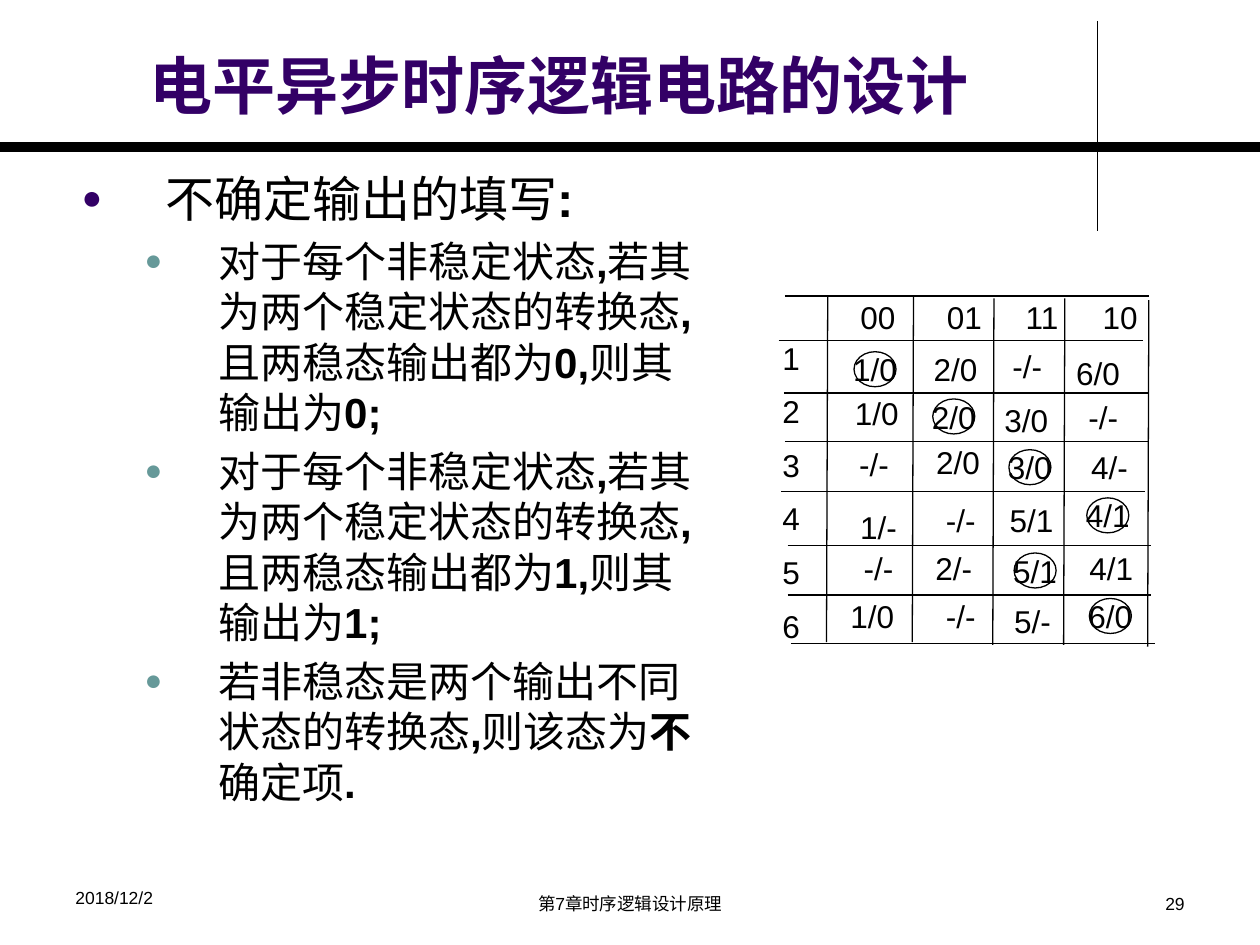
from lxml import etree
from pptx import Presentation
from pptx.dml.color import RGBColor
from pptx.enum.shapes import MSO_CONNECTOR, MSO_SHAPE
from pptx.enum.text import MSO_ANCHOR, MSO_AUTO_SIZE, PP_ALIGN
from pptx.oxml.ns import qn
from pptx.util import Pt

STRAIGHT = MSO_CONNECTOR.STRAIGHT
OVAL = MSO_SHAPE.OVAL
TOP, MIDDLE, BOTTOM = MSO_ANCHOR.TOP, MSO_ANCHOR.MIDDLE, MSO_ANCHOR.BOTTOM
NO_FIT = MSO_AUTO_SIZE.NONE
LEFT, CENTER, RIGHT = PP_ALIGN.LEFT, PP_ALIGN.CENTER, PP_ALIGN.RIGHT

BLACK = RGBColor(0x00, 0x00, 0x00)
PURPLE = RGBColor(0x33, 0x00, 0x66)
TEAL = RGBColor(0x66, 0x99, 0x99)
FONT = "Arial"

TITLE = "电平异步时序逻辑电路的设计"
TRANSITION = ["对于每个非稳定状态", ",", "若其为两个稳定状态的转换态", ",",
              "且两稳态输出都为"]
POINTS = [
    (0, ["不确定输出的填写", ":"]),
    (1, TRANSITION + ["0,", "则其输出为", "0;"]),
    (1, TRANSITION + ["1,", "则其输出为", "1;"]),
    (1, ["若非稳态是两个输出不同状态的转换态", ",", "则该态为", "不", "确定项", "."]),
]
LEVELS = [(28, 48, -48, PURPLE), (24, 78, -42, TEAL)]

STATE_ROWS = [
    [("1/0", 488, 201), ("2/0", 534, 201), ("-/-", 575, 199), ("6/0", 615.5, 203)],
    [("1/0", 489, 226), ("2/0", 533, 228), ("3/0", 574.5, 230), ("-/-", 618.5, 228)],
    [("-/-", 487.5, 255), ("2/0", 535.5, 254), ("3/0", 576.5, 257), ("4/-", 622, 257)],
    [("1/-", 490, 291), ("-/-", 537, 287), ("5/1", 577.5, 287), ("4/1", 621, 284.5)],
    [("-/-", 490, 314.5), ("2/-", 533, 314.5), ("5/1", 579.5, 316), ("4/1", 623, 314.5)],
    [("1/0", 486.5, 342), ("-/-", 537, 342), ("5/-", 578, 345), ("6/0", 622.5, 342)],
]
STABLE_COLUMNS = [0, 1, 2, 3, 2, 3]
ROW_LINES = [(448.5, 169.2), (445, 194.4), (448, 224.6), (448.5, 252.2),
             (446.5, 280.8), (450, 311.7), (450, 340), (452, 367.8)]
COLUMN_LINES = [(473, 169), (522, 169), (568, 170.5), (608.5, 170.5), (656.5, 171.5)]
ROW_LENGTH, COLUMN_LENGTH, COLUMN_SLANT = 208, 198, -0.7


def style(span, size, color=BLACK, bold=False):
    span.font.name = FONT
    span.font.size = Pt(size)
    span.font.bold = bold
    span.font.color.rgb = color


def place(shape, left, top, width, height):
    shape.left, shape.top = Pt(left), Pt(top)
    shape.width, shape.height = Pt(width), Pt(height)


def add_line(page, start, end, weight=0.75):
    line = page.shapes.add_connector(STRAIGHT, *[Pt(value) for value in start + end])
    line.line.color.rgb = BLACK
    line.line.width = Pt(weight)
    etree.SubElement(line._element.spPr, qn("a:effectLst"))


def add_text(page, bounds, text, size, align=LEFT, before=0):
    box = page.shapes.add_textbox(*[Pt(value) for value in bounds])
    frame = box.text_frame
    frame.word_wrap = True
    frame.text = text
    for para in frame.paragraphs:
        para.alignment = align
        para.space_before = Pt(before)
        for span in para.runs:
            style(span, size)
    return box


def add_tabs(para, stops):
    tabs = etree.SubElement(para._p.get_or_add_pPr(), qn("a:tabLst"))
    for stop in stops:
        etree.SubElement(tabs, qn("a:tab"), pos=str(Pt(stop)), algn="l")


def add_bullet(para, left, indent, color):
    props = para._p.get_or_add_pPr()
    props.set("marL", str(Pt(left)))
    props.set("indent", str(Pt(indent)))
    tint = etree.SubElement(props, qn("a:buClr"))
    etree.SubElement(tint, qn("a:srgbClr"), val=str(color))
    etree.SubElement(props, qn("a:buSzPct"), val="70000")
    etree.SubElement(props, qn("a:buFont"), typeface=FONT)
    etree.SubElement(props, qn("a:buChar"), char="●")


def add_state(page, text, left, top, stable):
    state = page.shapes.add_shape(OVAL, Pt(left), Pt(top), Pt(24), Pt(20))
    state.shadow.inherit = False
    state.fill.background()
    if stable:
        state.line.color.rgb = BLACK
        state.line.width = Pt(0.75)
    else:
        state.line.fill.background()
    frame = state.text_frame
    frame.word_wrap = False
    frame.vertical_anchor = MIDDLE
    frame.text = text
    para = frame.paragraphs[0]
    para.alignment = CENTER
    style(para.runs[0], 18)


def fill_title(title):
    place(title, 78.5, 15, 543.5, 58.5)
    frame = title.text_frame
    frame.text = TITLE
    frame.auto_size = NO_FIT
    frame.vertical_anchor = BOTTOM
    frame.paragraphs[0].alignment = LEFT
    style(frame.paragraphs[0].runs[0], 36, PURPLE, True)


def fill_body(body):
    place(body, 39.5, 92.5, 375, 380)
    frame = body.text_frame
    frame.auto_size = NO_FIT
    frame.vertical_anchor = TOP
    for index, (level, pieces) in enumerate(POINTS):
        para = frame.paragraphs[0] if index == 0 else frame.add_paragraph()
        size, left, indent, color = LEVELS[level]
        para.level = level
        para.alignment = LEFT
        para.space_before = Pt(size / 5)
        add_bullet(para, left, indent, color)
        for position, piece in enumerate(pieces):
            span = para.add_run()
            span.text = piece
            style(span, size, bold=position % 2 == 1)


def draw_state_table(page):
    header = add_text(page, (484.5, 167, 173.5, 26.5), "00\t01\t11\t10", 18)
    add_tabs(header.text_frame.paragraphs[0], [49.5, 94.5, 138.5])
    add_text(page, (440, 190, 34.5, 170.5), "1\n2\n3\n4\n5\n6", 18, before=9)
    for row, stable_column in zip(STATE_ROWS, STABLE_COLUMNS):
        for column, (text, left, top) in enumerate(row):
            add_state(page, text, left, top, column == stable_column)
    for left, top in ROW_LINES:
        add_line(page, (left, top), (left + ROW_LENGTH, top))
    for left, top in COLUMN_LINES:
        add_line(page, (left, top), (left + COLUMN_SLANT, top + COLUMN_LENGTH))


def main():
    deck = Presentation()
    deck.slide_width, deck.slide_height = Pt(720), Pt(540)
    page = deck.slides.add_slide(deck.slide_layouts[1])
    add_line(page, (627, 12), (627, 132))
    add_line(page, (0, 84), (720, 84), 6)
    fill_title(page.shapes.title)
    fill_body(page.placeholders[1])
    draw_state_table(page)
    add_text(page, (36, 503.5, 168, 24.5), "2018/12/2", 10)
    add_text(page, (246, 507, 228, 21), "第7章时序逻辑设计原理", 10, CENTER)
    add_text(page, (516, 507, 168, 21), "29", 10, RIGHT)
    deck.save("out.pptx")


main()
